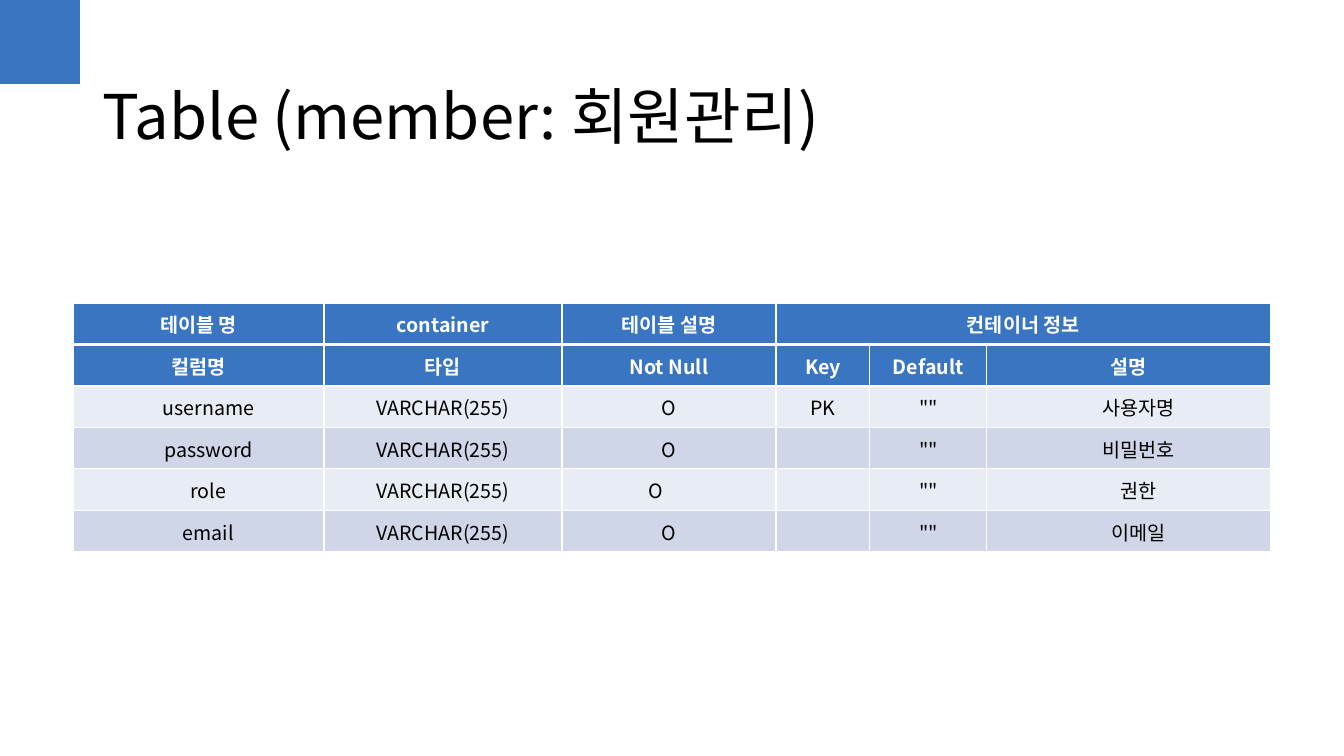
from lxml import etree
from pptx import Presentation
from pptx import util as u
from pptx.dml.color import RGBColor
from pptx.enum import shapes, text
from pptx.oxml import ns

FONT = "Noto Sans CJK KR"
BLUE, WHITE, BLACK = "3975C0", "FFFFFF", "000000"
BANDS = ["E8ECF4", "CED6E8"]


def px(n):
    return u.Emu(round(n * 914400 / 100.8))


def style(para, size, color, bold=False):
    font = para.font
    font.size, font.bold, font.name = u.Pt(size), bold, FONT
    font.color.rgb = RGBColor.from_string(color)
    props = para._p.get_or_add_pPr().get_or_add_defRPr()
    etree.SubElement(props, ns.qn("a:ea"), typeface=FONT)


deck = Presentation()
deck.slide_width, deck.slide_height = px(1344), px(756)
slide = deck.slides.add_slide(deck.slide_layouts[6])

# Corner block
block = slide.shapes.add_shape(shapes.MSO_SHAPE.RECTANGLE, 0, 0, px(80), px(84))
block.shadow.inherit = False
block.fill.solid()
block.fill.fore_color.rgb = RGBColor.from_string(BLUE)
block.line.fill.background()

# Title
frame = slide.shapes.add_textbox(px(93), px(35), px(1159), px(146)).text_frame
frame.word_wrap = True
frame.vertical_anchor = text.MSO_ANCHOR.MIDDLE
title = frame.paragraphs[0]
title.text = "Table (member: 회원관리)"
title.line_spacing = 1.18
style(title, 44, BLACK)

# Table data
rows = [
    ["테이블 명", "container", "테이블 설명", "컨테이너 정보", "", ""],
    ["컬럼명", "타입", "Not Null", "Key", "Default", "설명"],
    ["username", "VARCHAR(255)", "O", "PK", '""', "사용자명"],
    ["password", "VARCHAR(255)", "O", "", '""', "비밀번호"],
    ["role", "VARCHAR(255)", "O", "", '""', "권한"],
    ["email", "VARCHAR(255)", "O", "", '""', "이메일"],
]
widths = [251, 238, 214, 94, 117, 284]
heads = 2

# Table grid
table = slide.shapes.add_table(len(rows), len(widths), px(73), px(303),
                               px(sum(widths)), px(249)).table
for col, width in zip(table.columns, widths):
    col.width = px(width)
for row in table.rows:
    row.height = px(41.5)
table.cell(0, 3).merge(table.cell(0, 5))

# Table cells
for r, row in enumerate(rows):
    head = r < heads
    for c, value in enumerate(row):
        cell = table.cell(r, c)
        cell.vertical_anchor = text.MSO_ANCHOR.MIDDLE
        if r > 0:
            cell.margin_left = cell.margin_right = cell.margin_top = px(1)
            cell.margin_bottom = 0
        if row[0] == "role" and c == 2:
            cell.margin_right = px(27)
        cell.fill.solid()
        cell.fill.fore_color.rgb = RGBColor.from_string(BLUE if head else BANDS[r % 2])

        para = cell.text_frame.paragraphs[0]
        para.text = value
        para.alignment = text.PP_ALIGN.CENTER
        if not head and c in (0, 5):
            para._p.get_or_add_pPr().set("marL", str(px(20)))
        style(para, 14, WHITE if head else BLACK, head)

        # White borders, thick between the two header rows
        for i, side in enumerate(["lnL", "lnR", "lnT", "lnB"]):
            thick = (r, side) in [(0, "lnB"), (1, "lnT")]
            line = etree.Element(ns.qn("a:" + side), w=str(u.Pt(3 if thick else 1)))
            fill = etree.SubElement(line, ns.qn("a:solidFill"))
            etree.SubElement(fill, ns.qn("a:srgbClr"), val=WHITE)
            cell._tc.get_or_add_tcPr().insert(i, line)

deck.save("out.pptx")
